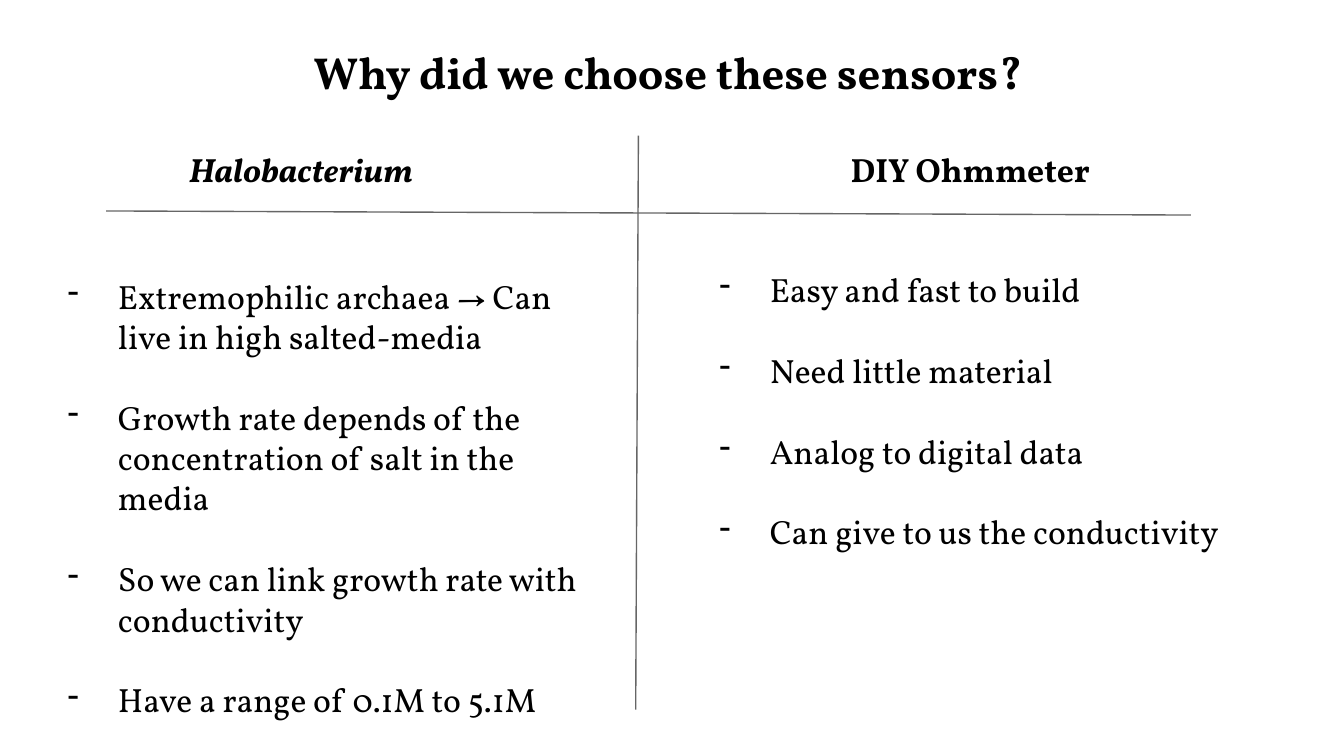
import dataclasses

import lxml.etree
import pptx
import pptx.dml.color
import pptx.enum.shapes
import pptx.enum.text
import pptx.oxml.ns
import pptx.util


def color(code):
    """Turn a hex string into a colour."""
    return pptx.dml.color.RGBColor.from_string(code)


@dataclasses.dataclass
class SlideWriter:
    """Draw styled elements on a slide, placed on a grid of tenth-inch cells."""

    page: object
    font: str = "Vollkorn"
    ink: str = "000000"
    rule: str = "666666"
    body_size: int = 18
    bullet_gap: float = 21.7

    def cells(self, *counts):
        """Convert grid cells to lengths."""
        return [pptx.util.Inches(count / 10) for count in counts]

    def text(self, lines, area, size=None, bold=False, italic=False, align="CENTER"):
        """Add a text box with one paragraph for each line."""
        box = self.page.shapes.add_textbox(*self.cells(*area))
        frame = box.text_frame
        frame.word_wrap = True
        frame.margin_left, frame.margin_top, frame.margin_right, frame.margin_bottom = self.cells(1, 1, 1, 1)
        frame.text = "\n".join(lines)
        for para in frame.paragraphs:
            para.alignment = getattr(pptx.enum.text.PP_ALIGN, align)
            para.font.name = self.font
            para.font.size = pptx.util.Pt(size or self.body_size)
            para.font.bold = bold
            para.font.italic = italic
            para.font.color.rgb = color(self.ink)
        return frame

    def heading(self, wording, area, **style):
        """Add a bold centred heading."""
        self.text([wording], area, bold=True, **style)

    def bullets(self, lines, area):
        """Add a dashed list with hanging indents and open spacing."""
        margin, hang = self.cells(5, 3.75)
        frame = self.text(lines, area, align="LEFT")
        for index, para in enumerate(frame.paragraphs):
            para.space_before = pptx.util.Pt(self.bullet_gap if index else 0)
            settings = para._p.get_or_add_pPr()
            settings.set("marL", str(margin))
            settings.set("indent", str(-hang))
            mark = lxml.etree.Element(pptx.oxml.ns.qn("a:buChar"), char="-")
            settings.find(pptx.oxml.ns.qn("a:defRPr")).addprevious(mark)

    def line(self, *ends):
        """Add a thin straight divider."""
        straight = pptx.enum.shapes.MSO_CONNECTOR.STRAIGHT
        divider = self.page.shapes.add_connector(straight, *self.cells(*ends))
        divider.line.color.rgb = color(self.rule)
        divider.line.width = pptx.util.Pt(0.75)
        lxml.etree.SubElement(divider._element.spPr, pptx.oxml.ns.qn("a:effectLst"))


def main():
    """Build the sensor comparison slide."""
    deck = pptx.Presentation()
    deck.slide_width = pptx.util.Inches(10)
    deck.slide_height = deck.slide_width * 9 // 16
    writer = SlideWriter(deck.slides.add_slide(deck.slide_layouts[6]))

    writer.heading("Why did we choose these sensors?", (19.7, 2.3, 60, 6.1), size=24)
    writer.heading("Halobacterium", (10.6, 10.1, 23.6, 6.1), italic=True)
    writer.line(47.5, 10.1, 47.3, 52.8)
    writer.line(7.9, 15.7, 88.6, 16)
    writer.heading("DIY Ohmmeter", (59, 10.1, 26.4, 3.9))
    writer.bullets([
        "Extremophilic archaea → Can live in high salted-media",
        "Growth rate depends of the concentration of salt in the media",
        "So we can link growth rate with conductivity",
        "Have a range of 0.1M to 5.1M",
    ], (2.8, 19.5, 43.3, 8))
    writer.bullets([
        "Easy and fast to build",
        "Need little material",
        "Analog to digital data",
        "Can give to us the conductivity",
    ], (51.3, 19, 43.3, 23))

    deck.save("out.pptx")


if __name__ == "__main__":
    main()
